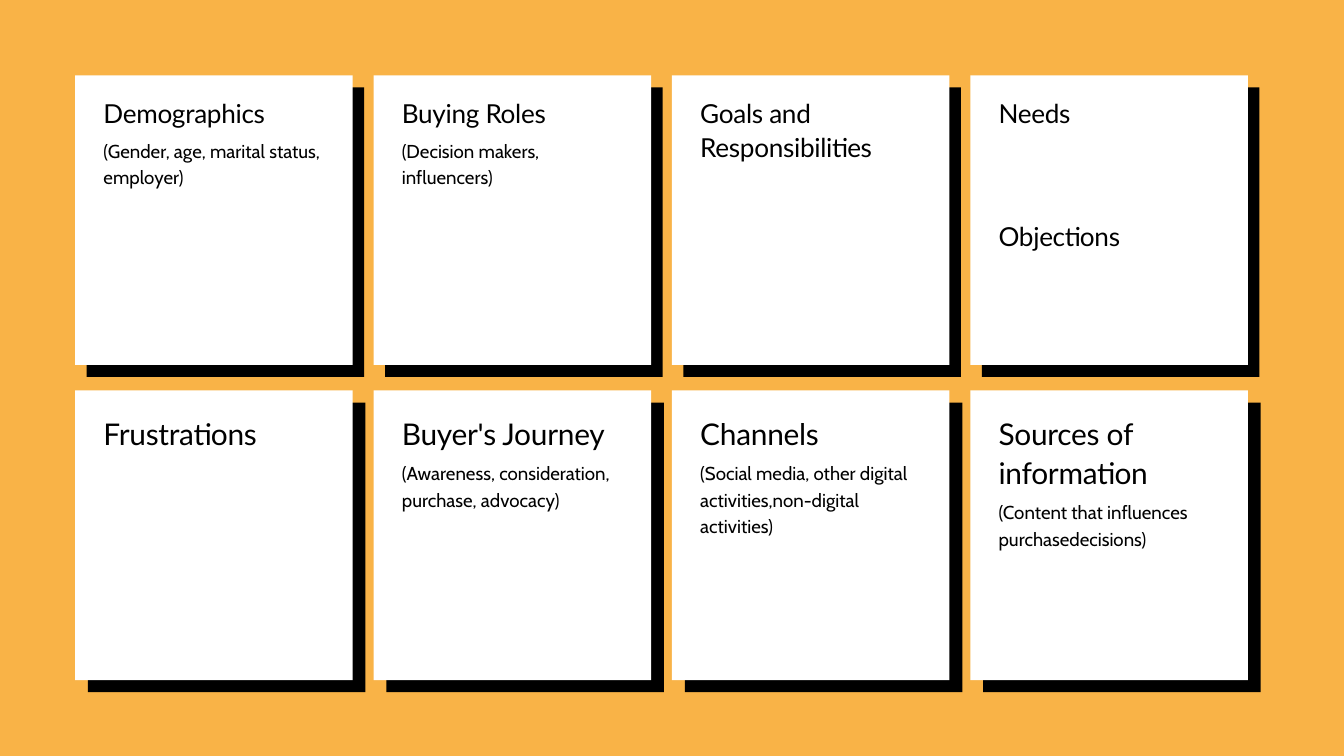
from dataclasses import dataclass

from pptx import Presentation
from pptx.dml.color import RGBColor
from pptx.enum.shapes import MSO_SHAPE as Shape
from pptx.enum.text import MSO_AUTO_SIZE as AutoSize
from pptx.util import Inches, Pt

COLORS = {"background": "F9B347", "card": "FFFFFF", "shadow": "000000", "text": "000000"}

# Grid of cards, in inches
SLIDE_WIDTH, SLIDE_HEIGHT = 20, 11.25
LEFT, TOP = 1.12, 1.12
COLUMN_STEP, ROW_STEP = 4.44, 4.69
CARD_WIDTH, CARD_HEIGHT = 4.13, 4.31

# Text inside a card
TEXT_INDENT, TEXT_WIDTH = 0.42, 3.28
DETAIL_GAP = 0.1
DETAIL_SIZE, DETAIL_LEADING = 20, 28.4


@dataclass
class RowStyle:
    size: float
    leading: float
    text_top: float
    shadow_shift: float


@dataclass
class Entry:
    heading: str
    detail: str = ""
    heading_lines: int = 1
    drop: float = 0


ROW_STYLES = [RowStyle(28, 36.4, 0.29, 0.17), RowStyle(32, 41.6, 0.33, 0.19)]
SHADOW_DROP = 0.18

CARDS = [
    [
        [Entry("Demographics", "(Gender, age, marital status, employer)")],
        [Entry("Buying Roles", "(Decision makers, influencers)")],
        [Entry("Goals and Responsibilities", heading_lines=2)],
        [Entry("Needs"), Entry("Objections", drop=1.83)],
    ],
    [
        [Entry("Frustrations")],
        [Entry("Buyer's Journey", "(Awareness, consideration, purchase, advocacy)")],
        [Entry("Channels", "(Social media, other digital activities,non-digital activities)")],
        [Entry("Sources of information", "(Content that influences purchasedecisions)", 2)],
    ],
]


def add_block(slide, left, top, color):
    block = slide.shapes.add_shape(
        Shape.RECTANGLE, Inches(left), Inches(top), Inches(CARD_WIDTH), Inches(CARD_HEIGHT)
    )
    block.shadow.inherit = False
    block.fill.solid()
    block.fill.fore_color.rgb = RGBColor.from_string(COLORS[color])
    block.line.fill.background()


def add_text(slide, text, left, top, *, font, size, leading, lines=1, spacing=0):
    """Place a text box and return the position of its lower edge."""
    height = lines * leading / 72
    box = slide.shapes.add_textbox(Inches(left), Inches(top), Inches(TEXT_WIDTH), Inches(height))
    frame = box.text_frame
    frame.word_wrap = True
    frame.auto_size = AutoSize.SHAPE_TO_FIT_TEXT
    frame.margin_left = frame.margin_top = frame.margin_right = frame.margin_bottom = 0
    paragraph = frame.paragraphs[0]
    paragraph.line_spacing = Pt(leading)
    run = paragraph.add_run()
    run.text = text
    run.font.name = font
    run.font.size = Pt(size)
    run.font.color.rgb = RGBColor.from_string(COLORS["text"])
    if spacing:
        run._r.get_or_add_rPr().set("spc", str(round(spacing * 100)))
    return top + height


def add_card(slide, left, top, entries, style):
    # Offset shadow, then the card itself
    add_block(slide, left + style.shadow_shift, top + SHADOW_DROP, "shadow")
    add_block(slide, left, top, "card")

    # Headings, each with an optional detail below
    text_left = left + TEXT_INDENT
    for entry in entries:
        bottom = add_text(
            slide, entry.heading, text_left, top + style.text_top + entry.drop,
            font="Lato", size=style.size, leading=style.leading,
            lines=entry.heading_lines, spacing=-0.3,
        )
        if entry.detail:
            add_text(
                slide, entry.detail, text_left, bottom + DETAIL_GAP,
                font="Cabin", size=DETAIL_SIZE, leading=DETAIL_LEADING, lines=2,
            )


def main():
    presentation = Presentation()
    presentation.slide_width = Inches(SLIDE_WIDTH)
    presentation.slide_height = Inches(SLIDE_HEIGHT)
    slide = presentation.slides.add_slide(presentation.slide_layouts[6])
    slide.background.fill.solid()
    slide.background.fill.fore_color.rgb = RGBColor.from_string(COLORS["background"])

    for row, (cards, style) in enumerate(zip(CARDS, ROW_STYLES)):
        for column, entries in enumerate(cards):
            add_card(slide, LEFT + column * COLUMN_STEP, TOP + row * ROW_STEP, entries, style)

    presentation.save("out.pptx")


if __name__ == "__main__":
    main()
